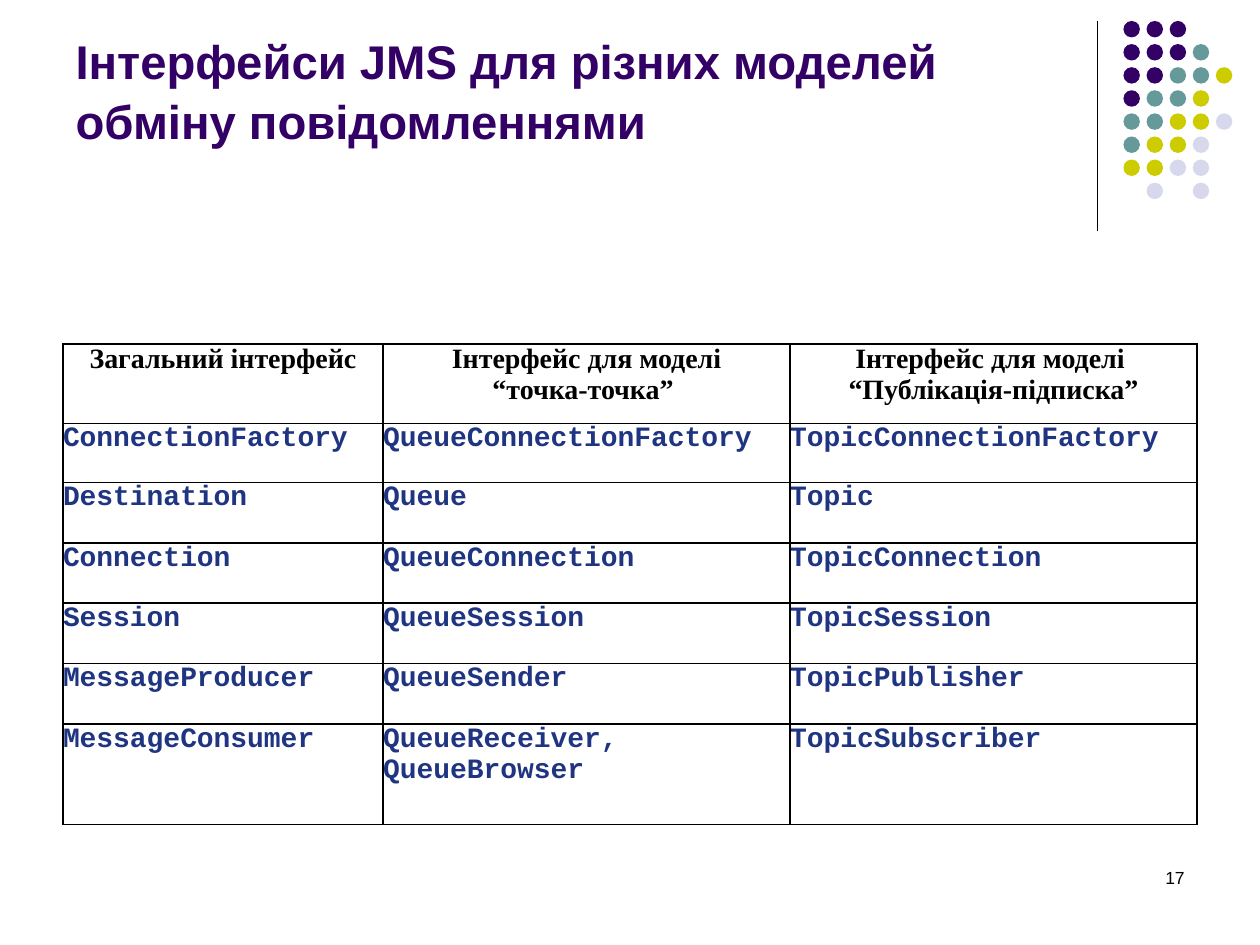
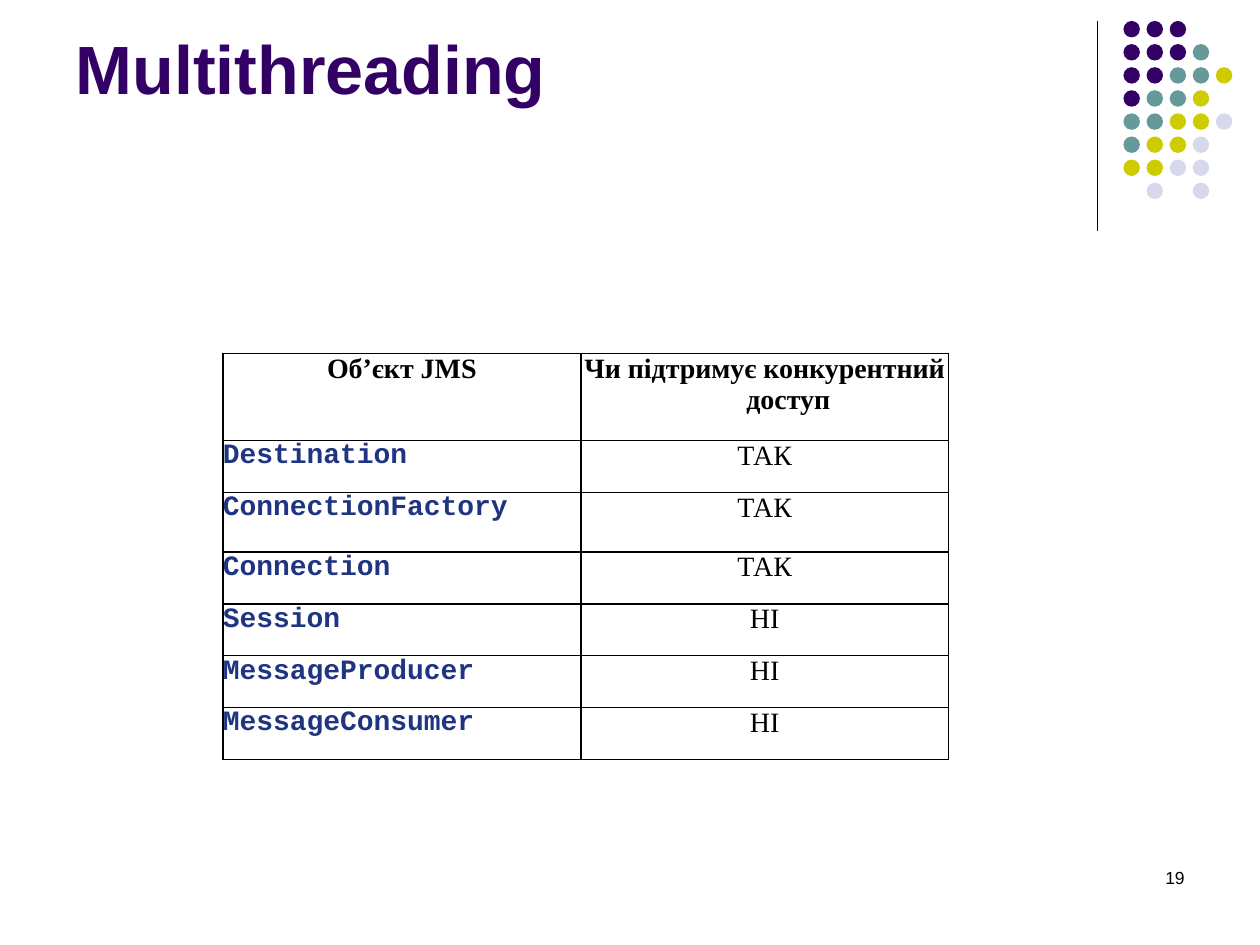
from dataclasses import dataclass

from lxml import etree
from pptx import Presentation
from pptx.dml.color import RGBColor
from pptx.enum.shapes import MSO_CONNECTOR, MSO_SHAPE
from pptx.enum.text import MSO_ANCHOR, MSO_AUTO_SIZE, PP_ALIGN
from pptx.oxml.ns import qn
from pptx.util import Pt

# Enum members
STRAIGHT = MSO_CONNECTOR.STRAIGHT
ELLIPSE = MSO_SHAPE.OVAL
BOTTOM = MSO_ANCHOR.BOTTOM
NO_AUTOFIT = MSO_AUTO_SIZE.NONE
LEFT, CENTER, RIGHT = PP_ALIGN.LEFT, PP_ALIGN.CENTER, PP_ALIGN.RIGHT

# Shared colours and measures
BLACK = RGBColor(0x00, 0x00, 0x00)
PURPLE = RGBColor(0x33, 0x00, 0x66)
TEAL = RGBColor(0x66, 0x99, 0x99)
LIME = RGBColor(0xCC, 0xCC, 0x00)
LAVENDER = RGBColor(0xD8, 0xD8, 0xEC)
CODE_BLUE = RGBColor(0x20, 0x35, 0x82)
DOT_COLORS = {"P": PURPLE, "T": TEAL, "L": LIME, "V": LAVENDER}
DOT_ROWS = ("PPP", "PPPT", "PPTTL", "PTTL", "TTLLV", "TLLV", "LLVV", ".V.V")
DOT_LEFT, DOT_TOP, DOT_SIZE, DOT_PITCH = 642, 12, 9.4, 13.2
HANGING = Pt(27)
TITLE_ONLY = 5


@dataclass(frozen=True)
class TextStyle:
    font: str
    size: float
    color: RGBColor
    bold: bool = False
    align: PP_ALIGN = LEFT


HEADER = TextStyle("Times New Roman", 16, BLACK, True, CENTER)
CODE = TextStyle("Courier New", 16, CODE_BLUE, True)
ANSWER = TextStyle("Times New Roman", 16, BLACK, False, CENTER)
NUMBER = TextStyle("Arial", 10, BLACK, False, RIGHT)


@dataclass(frozen=True)
class TableSlide:
    title: str
    title_size: float
    title_height: float
    number: str
    left: float
    top: float
    widths: tuple[float, ...]
    heights: tuple[float, ...]
    column_styles: tuple[TextStyle, ...]
    rows: tuple[tuple[str, ...], ...]


SLIDES = (
    TableSlide(
        "Інтерфейси JMS для різних моделей обміну повідомленнями", 27, 79.2, "17",
        36, 196.5, (182.9, 232.6, 232.6),
        (45.4, 33.8, 34.5, 34.5, 34.5, 34.5, 57.6), (CODE, CODE, CODE),
        (
            ("Загальний інтерфейс", "Інтерфейс для моделі\n“точка-точка” ",
             "Інтерфейс для моделі \n“Публікація-підписка”"),
            ("ConnectionFactory", "QueueConnectionFactory", "TopicConnectionFactory"),
            ("Destination", "Queue", "Topic"),
            ("Connection", "QueueConnection", "TopicConnection"),
            ("Session", "QueueSession", "TopicSession"),
            ("MessageProducer", "QueueSender", "TopicPublisher"),
            ("MessageConsumer", "QueueReceiver,\nQueueBrowser", "TopicSubscriber"),
        ),
    ),
    TableSlide(
        "Multithreading", 39, 56.2, "19",
        127.4, 202, (204.5, 210.2),
        (49.7, 29.7, 34, 29.7, 29.7, 29.7, 29.7), (CODE, ANSWER),
        (
            ("Об’єкт JMS", "Чи підтримує конкурентний доступ"),
            ("Destination", "ТАК"),
            ("ConnectionFactory", "ТАК"),
            ("Connection", "ТАК"),
            ("Session", "НІ"),
            ("MessageProducer", "НІ"),
            ("MessageConsumer", "НІ"),
        ),
    ),
)


def write_para(para, text: str, style: TextStyle) -> None:
    para.alignment = style.align
    span = para.add_run()
    span.text = text
    span.font.name = style.font
    span.font.size = Pt(style.size)
    span.font.bold = style.bold
    span.font.color.rgb = style.color


def draw_decoration(page) -> None:
    # Vertical rule
    rule = page.shapes.add_connector(STRAIGHT, Pt(627), Pt(12), Pt(627), Pt(132))
    rule.line.color.rgb = BLACK
    rule.line.width = Pt(0.75)
    etree.SubElement(rule._element.spPr, qn("a:effectLst"))

    # Grid of dots
    dots = page.shapes.add_group_shape()
    for row, letters in enumerate(DOT_ROWS):
        for column, letter in enumerate(letters):
            if letter not in DOT_COLORS:
                continue
            dot = dots.shapes.add_shape(
                ELLIPSE, Pt(DOT_LEFT + column * DOT_PITCH),
                Pt(DOT_TOP + row * DOT_PITCH), Pt(DOT_SIZE), Pt(DOT_SIZE))
            dot.shadow.inherit = False
            dot.fill.solid()
            dot.fill.fore_color.rgb = DOT_COLORS[letter]
            dot.line.fill.background()


def draw_title(page, content: TableSlide) -> None:
    title = page.shapes.title
    title.left, title.top = Pt(36), Pt(9.4)
    title.width, title.height = Pt(594), Pt(content.title_height)
    frame = title.text_frame
    frame.word_wrap = True
    frame.auto_size = NO_AUTOFIT
    frame.vertical_anchor = BOTTOM
    para = frame.paragraphs[0]
    para.line_spacing = 1.05
    write_para(para, content.title, TextStyle("Arial", content.title_size, PURPLE, True))


def draw_number(page, number: str) -> None:
    box = page.shapes.add_textbox(Pt(516), Pt(492), Pt(168), Pt(36))
    box.text_frame.word_wrap = True
    write_para(box.text_frame.paragraphs[0], number, NUMBER)


def add_borders(cell) -> None:
    properties = cell._tc.get_or_add_tcPr()
    for side in ("lnL", "lnR", "lnT", "lnB"):
        line = etree.SubElement(properties, qn(f"a:{side}"), w=str(Pt(1)))
        fill = etree.SubElement(line, qn("a:solidFill"))
        etree.SubElement(fill, qn("a:srgbClr"), val=str(BLACK))


def fill_cell(cell, text: str, style: TextStyle) -> None:
    cell.margin_left = cell.margin_right = cell.margin_top = cell.margin_bottom = 0
    add_borders(cell)
    cell.fill.background()
    frame = cell.text_frame
    for index, line in enumerate(text.split("\n")):
        para = frame.add_paragraph() if index else frame.paragraphs[0]
        write_para(para, line, style)
        properties = para._p.get_or_add_pPr()
        properties.set("marL", str(HANGING))
        properties.set("indent", str(-HANGING))


def draw_table(page, content: TableSlide) -> None:
    table = page.shapes.add_table(
        len(content.heights), len(content.widths), Pt(content.left), Pt(content.top),
        Pt(sum(content.widths)), Pt(sum(content.heights))).table
    table.first_row = table.horz_banding = False
    for column, width in zip(table.columns, content.widths):
        column.width = Pt(width)
    for row, height in zip(table.rows, content.heights):
        row.height = Pt(height)
    for row_index, texts in enumerate(content.rows):
        for column_index, text in enumerate(texts):
            style = content.column_styles[column_index] if row_index else HEADER
            fill_cell(table.cell(row_index, column_index), text, style)


def main() -> None:
    deck = Presentation()
    deck.slide_width, deck.slide_height = Pt(720), Pt(540)
    for content in SLIDES:
        page = deck.slides.add_slide(deck.slide_layouts[TITLE_ONLY])
        draw_decoration(page)
        draw_number(page, content.number)
        draw_title(page, content)
        draw_table(page, content)
    deck.save("out.pptx")


if __name__ == "__main__":
    main()
